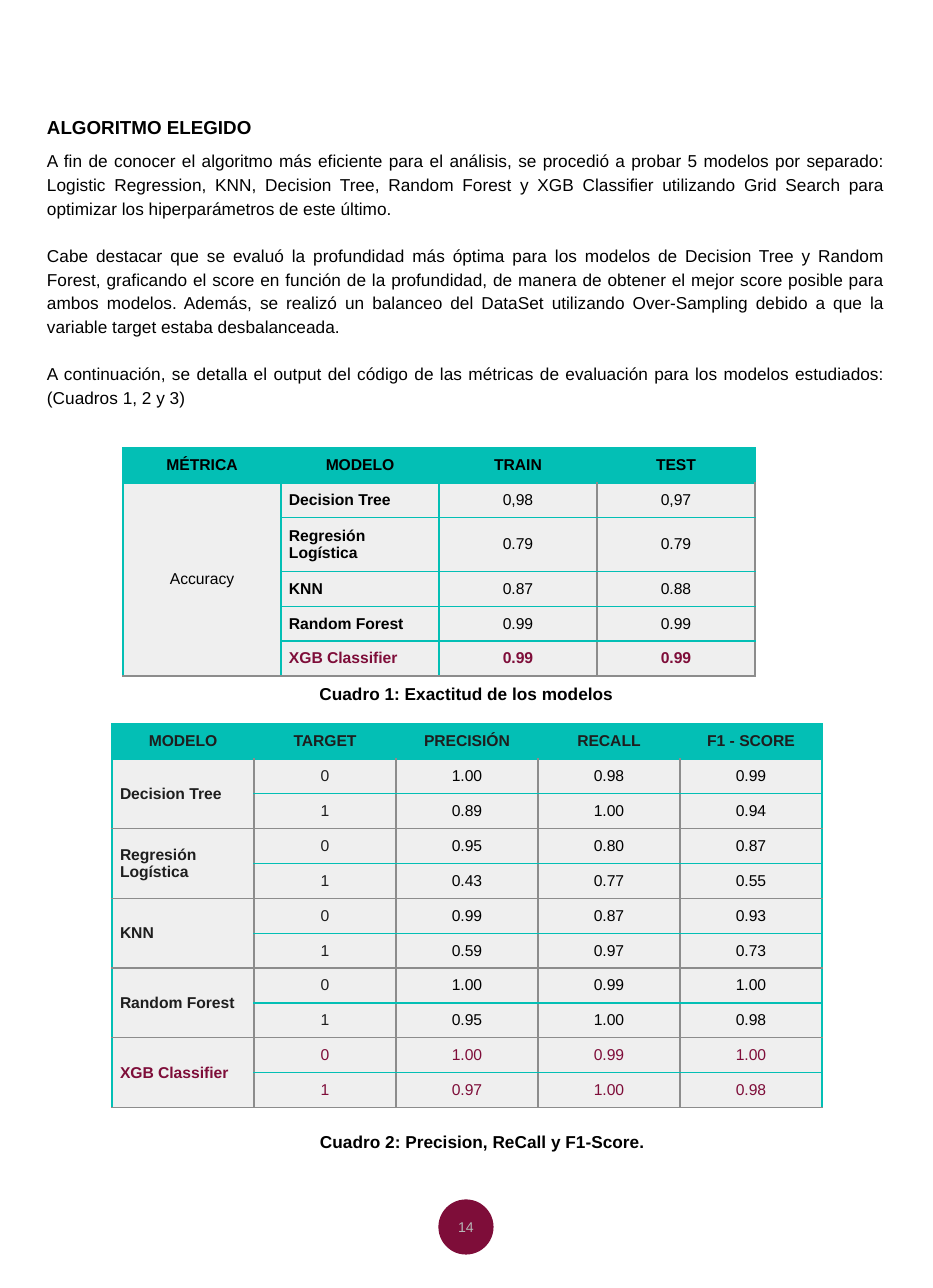
import dataclasses
import typing

import lxml.etree
import pptx
import pptx.dml.color
import pptx.enum.shapes
import pptx.enum.text
import pptx.oxml.ns
import pptx.slide
import pptx.table
import pptx.text.text
import pptx.util

EMU_PER_PX = 8106
Align = pptx.enum.text.PP_ALIGN
Anchor = pptx.enum.text.MSO_ANCHOR
AutoSize = pptx.enum.text.MSO_AUTO_SIZE


@dataclasses.dataclass(frozen=True)
class Theme:
    font: str = "Arial"
    black: str = "000000"
    ink: str = "1E1E1E"
    plum: str = "7E0D39"
    teal: str = "03BFB5"
    grey: str = "8C8C8C"
    cell: str = "EFEFEF"
    page_number: str = "B7B7B7"
    heading_pt: int = 12
    body_pt: int = 11
    table_pt: int = 10
    page_pt: int = 9
    border_pt: int = 1
    line_spacing: float = 1.15


THEME = Theme()


class Box(typing.NamedTuple):
    left: int
    top: int
    width: int
    height: int


class Paragraph(typing.NamedTuple):
    text: str
    size: int = THEME.body_pt
    bold: bool = False
    align: Align = Align.JUSTIFY
    before: int = 0


class TextBlock(typing.NamedTuple):
    box: Box
    inset: int
    paragraphs: list[Paragraph]


@dataclasses.dataclass(frozen=True)
class MetricTable:
    left: int
    top: int
    column_width: int
    row_heights: list[int]
    rows: list[list[str]]
    label_column: int
    spans: dict[int, int]
    header_color: str
    label_color: str
    target_column: int | None
    best_from: int
    best_bold: bool
    grey_columns: set[int]
    grey_rows: set[int]


INTRO = TextBlock(Box(32, 97, 868, 325), 15, [
    Paragraph("ALGORITMO ELEGIDO", THEME.heading_pt, True, Align.LEFT),
    Paragraph("A fin de conocer el algoritmo más eficiente para el análisis, se procedió a probar 5 modelos por separado: Logistic Regression, KNN, Decision Tree, Random Forest y XGB Classifier utilizando Grid Search para optimizar los hiperparámetros de este último.", before=6),
    Paragraph("Cabe destacar que se evaluó la profundidad más óptima para los modelos de Decision Tree y Random Forest, graficando el score en función de la profundidad, de manera de obtener el mejor score posible para ambos modelos. Además, se realizó un balanceo del DataSet utilizando Over-Sampling debido a que la variable target estaba desbalanceada.", before=15),
    Paragraph("A continuación, se detalla el output del código de las métricas de evaluación para los modelos estudiados: (Cuadros 1, 2 y 3)", before=15),
])
CAPTIONS = [
    TextBlock(Box(left, top, 387, 44), 11, [Paragraph(text, bold=True, align=Align.CENTER)])
    for left, top, text in [
        (273, 669, "Cuadro 1: Exactitud de los modelos"),
        (289, 1117, "Cuadro 2: Precision, ReCall y F1-Score."),
    ]
]
ACCURACY = MetricTable(
    left=123, top=448, column_width=158, row_heights=[34, 34, 53, 34, 34, 34],
    rows=[
        ["MÉTRICA", "MODELO", "TRAIN", "TEST"],
        ["Accuracy", "Decision Tree", "0,98", "0,97"],
        ["", "Regresión Logística", "0.79", "0.79"],
        ["", "KNN", "0.87", "0.88"],
        ["", "Random Forest", "0.99", "0.99"],
        ["", "XGB Classifier", "0.99", "0.99"],
    ],
    label_column=1, spans={1: 5}, header_color=THEME.black, label_color=THEME.black,
    target_column=None, best_from=5, best_bold=True, grey_columns={3, 4}, grey_rows={6},
)
SCORES = MetricTable(
    left=112, top=724, column_width=142, row_heights=[34] * 11,
    rows=[
        ["MODELO", "TARGET", "PRECISIÓN", "RECALL", "F1 - SCORE"],
        ["Decision Tree", "0", "1.00", "0.98", "0.99"],
        ["", "1", "0.89", "1.00", "0.94"],
        ["Regresión Logística", "0", "0.95", "0.80", "0.87"],
        ["", "1", "0.43", "0.77", "0.55"],
        ["KNN", "0", "0.99", "0.87", "0.93"],
        ["", "1", "0.59", "0.97", "0.73"],
        ["Random Forest", "0", "1.00", "0.99", "1.00"],
        ["", "1", "0.95", "1.00", "0.98"],
        ["XGB Classifier", "0", "1.00", "0.99", "1.00"],
        ["", "1", "0.97", "1.00", "0.98"],
    ],
    label_column=0, spans={row: 2 for row in range(1, 11, 2)},
    header_color=THEME.ink, label_color=THEME.ink, target_column=1,
    best_from=9, best_bold=False, grey_columns={1, 2, 3, 4}, grey_rows={3, 5, 7, 9, 11},
)


def px(length: int) -> pptx.util.Emu:
    return pptx.util.Emu(length * EMU_PER_PX)


def rgb(color: str) -> pptx.dml.color.RGBColor:
    return pptx.dml.color.RGBColor.from_string(color)


def apply(target: object, values: dict[str, typing.Any]) -> None:
    for name, value in values.items():
        setattr(target, name, value)


def margins(inset: int) -> dict[str, typing.Any]:
    return {f"margin_{side}": px(inset) for side in ("left", "right", "top", "bottom")}


def write(paragraph: pptx.text.text._Paragraph, text: str, size: int, color: str,
          bold: bool, align: Align) -> None:
    paragraph.alignment = align
    run = paragraph.add_run()
    run.text = text
    apply(run.font, {"name": THEME.font, "size": pptx.util.Pt(size), "bold": bold})
    run.font.color.rgb = rgb(color)


def draw_text(slide: pptx.slide.Slide, block: TextBlock) -> None:
    frame = slide.shapes.add_textbox(*map(px, block.box)).text_frame
    apply(frame, {"word_wrap": True, "auto_size": AutoSize.SHAPE_TO_FIT_TEXT, **margins(block.inset)})
    for index, item in enumerate(block.paragraphs):
        paragraph = frame.add_paragraph() if index else frame.paragraphs[0]
        apply(paragraph, {"line_spacing": THEME.line_spacing, "space_before": pptx.util.Pt(item.before)})
        write(paragraph, item.text, item.size, THEME.black, item.bold, item.align)


def draw_borders(cell: pptx.table._Cell, colors: dict[str, str]) -> None:
    qn = pptx.oxml.ns.qn
    properties = cell._tc.get_or_add_tcPr()
    for side, color in colors.items():
        line = lxml.etree.SubElement(properties, qn(f"a:ln{side}"), w=str(pptx.util.Pt(THEME.border_pt)))
        fill = lxml.etree.SubElement(line, qn("a:solidFill"))
        lxml.etree.SubElement(fill, qn("a:srgbClr"), val=color)


def draw_table(slide: pptx.slide.Slide, metrics: MetricTable) -> None:
    columns = len(metrics.rows[0])
    box = Box(metrics.left, metrics.top, columns * metrics.column_width, sum(metrics.row_heights))
    table = slide.shapes.add_table(len(metrics.rows), columns, *map(px, box)).table
    apply(table, {"first_row": False, "horz_banding": False})
    for row, height in zip(table.rows, metrics.row_heights):
        row.height = px(height)
    for start, span in metrics.spans.items():
        table.cell(start, 0).merge(table.cell(start + span - 1, 0))
    for r, values in enumerate(metrics.rows):
        for c, value in enumerate(values):
            cell = table.cell(r, c)
            if cell.is_spanned:
                continue
            header = r == 0
            label = c == metrics.label_column and not header
            best = r >= metrics.best_from
            bottom = r + (cell.span_height if cell.is_merge_origin else 1)
            vertical = [THEME.grey if not header and x in metrics.grey_columns else THEME.teal for x in (c, c + 1)]
            horizontal = [THEME.grey if y in metrics.grey_rows else THEME.teal for y in (r, bottom)]
            draw_borders(cell, dict(zip("LRTB", vertical + horizontal)))
            cell.fill.solid()
            cell.fill.fore_color.rgb = rgb(THEME.teal if header else THEME.cell)
            apply(cell, {"vertical_anchor": Anchor.MIDDLE, **margins(8)})
            color = THEME.black
            if header:
                color = metrics.header_color
            elif best:
                color = THEME.plum
            elif label or c == metrics.target_column:
                color = metrics.label_color
            write(cell.text_frame.paragraphs[0], value, THEME.table_pt, color,
                  header or label or (best and metrics.best_bold), Align.LEFT if label else Align.CENTER)


def draw_page_number(slide: pptx.slide.Slide, number: str) -> None:
    badge = slide.shapes.add_shape(pptx.enum.shapes.MSO_SHAPE.OVAL, *map(px, Box(439, 1200, 54, 54)))
    badge.shadow.inherit = False
    badge.fill.solid()
    badge.fill.fore_color.rgb = rgb(THEME.plum)
    badge.line.color.rgb = rgb(THEME.plum)
    badge.line.width = pptx.util.Pt(0.75)
    apply(badge.text_frame, {"vertical_anchor": Anchor.MIDDLE, "word_wrap": True, **margins(11)})
    write(badge.text_frame.paragraphs[0], number, THEME.page_pt, THEME.page_number, False, Align.CENTER)


def main() -> None:
    deck = pptx.Presentation()
    apply(deck, {"slide_width": px(933), "slide_height": px(1288)})
    slide = deck.slides.add_slide(deck.slide_layouts[6])
    draw_page_number(slide, "14")
    draw_text(slide, INTRO)
    for metrics, caption in zip((ACCURACY, SCORES), CAPTIONS):
        draw_table(slide, metrics)
        draw_text(slide, caption)
    deck.save("out.pptx")


if __name__ == "__main__":
    main()
